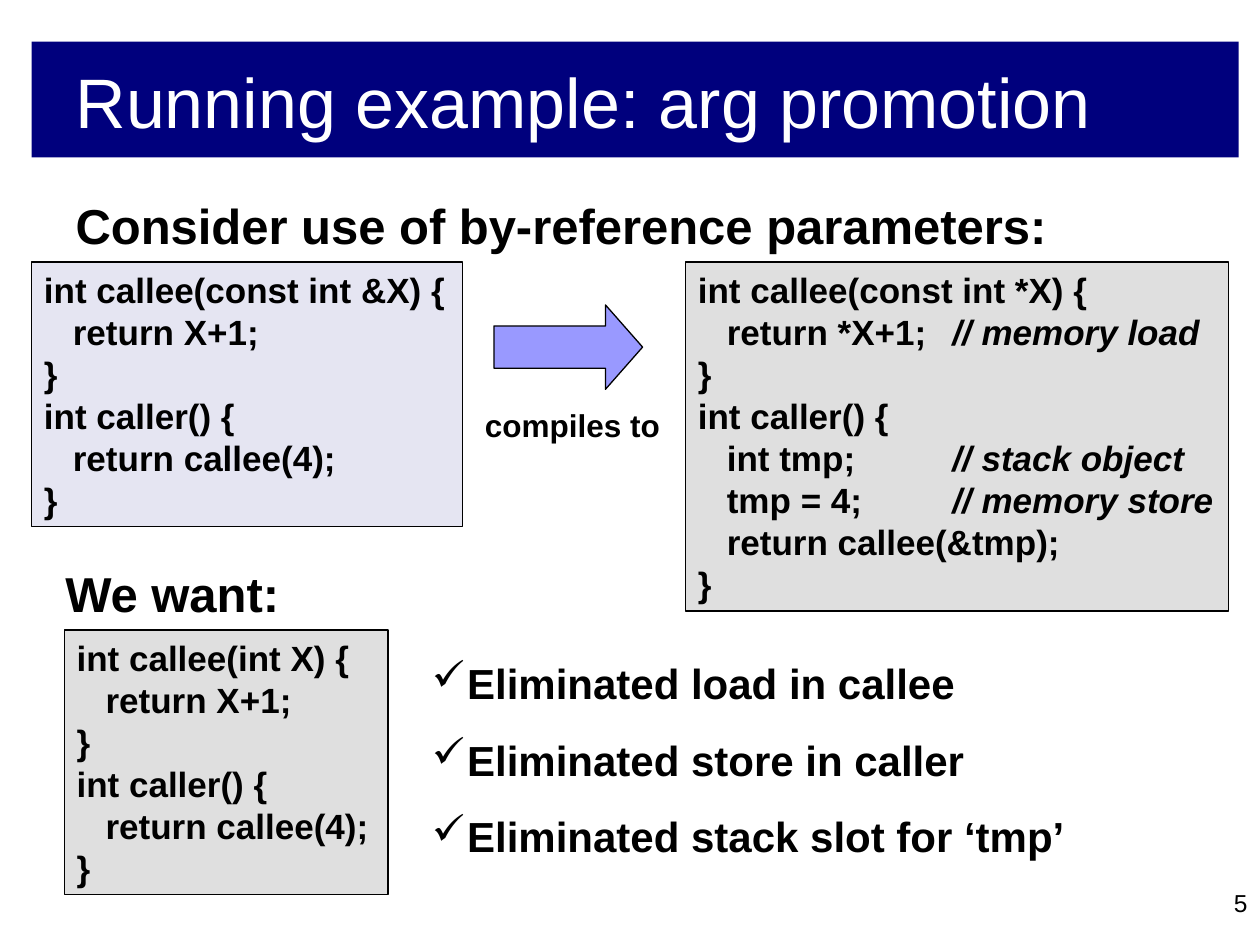
from lxml.etree import SubElement
from pptx import Presentation
from pptx.dml.color import RGBColor
from pptx.enum.shapes import MSO_SHAPE
from pptx.enum.text import MSO_ANCHOR, MSO_AUTO_SIZE, PP_ALIGN
from pptx.oxml.ns import qn
from pptx.util import Inches, Pt

BLACK = "000000"
GREY = "C0C0C0"
STOPS = (0.23, 2.02)

CALLER = ["int caller() {", "\treturn callee(4);", "}"]
SOURCE = ["int callee(const int &X) {", "\treturn X+1;", "}"] + CALLER
WANTED = ["int callee(int X) {", "\treturn X+1;", "}"] + CALLER
OUTPUT = [
    "int callee(const int *X) {",
    ("\treturn *X+1;\t", "// memory load"),
    "}",
    "int caller() {",
    ("\tint tmp;\t", "// stack object"),
    ("\ttmp = 4;\t", "// memory store"),
    "\treturn callee(&tmp);",
    "}",
]
GAINS = [
    "Eliminated load in callee",
    "Eliminated store in caller",
    "Eliminated stack slot for ‘tmp’",
]


def paint(color, text):
    color.rgb = RGBColor.from_string(text)


def place(shape, left, top, width, height):
    shape.left, shape.top = Inches(left), Inches(top)
    shape.width, shape.height = Inches(width), Inches(height)


def add_run(para, text, size, color=BLACK, bold=True, slant=False):
    run = para.add_run()
    run.text = text
    font = run.font
    font.name, font.size = "Arial", Pt(size)
    font.bold, font.italic = bold, slant
    paint(font.color, color)


def add_lines(shape, lines, size, color=BLACK, bold=True, align=PP_ALIGN.LEFT,
              anchor=MSO_ANCHOR.TOP, gap=0):
    frame = shape.text_frame
    frame.word_wrap = True
    frame.auto_size = MSO_AUTO_SIZE.NONE
    frame.vertical_anchor = anchor
    for spot, line in enumerate(lines):
        para = frame.add_paragraph() if spot else frame.paragraphs[0]
        para.alignment = align
        para.space_before = Pt(gap)
        para.line_spacing = Pt(size * 1.2)
        parts = (line,) if isinstance(line, str) else line
        for part in parts:
            add_run(para, part, size, color, bold, part.startswith("//"))
    return frame.paragraphs


def add_text(slide, area, lines, size, **style):
    box = slide.shapes.add_textbox(*map(Inches, area))
    return add_lines(box, lines, size, **style)


def add_form(slide, kind, area, color, alpha=None, edge=True):
    shape = slide.shapes.add_shape(kind, *map(Inches, area))
    shape.shadow.inherit = False
    shape.fill.solid()
    paint(shape.fill.fore_color, color)
    if alpha:
        tint = shape.fill._xPr.find(qn("a:solidFill"))[0]
        SubElement(tint, qn("a:alpha"), val=str(alpha * 1000))
    if edge:
        shape.line.width = Pt(0.75)
        paint(shape.line.color, BLACK)
    else:
        shape.line.fill.background()
    return shape


def add_code(slide, area, color, lines):
    shape = add_form(slide, MSO_SHAPE.RECTANGLE, area, color, alpha=50)
    for para in add_lines(shape, lines, 20):
        tabs = SubElement(para._p.get_or_add_pPr(), qn("a:tabLst"))
        for stop in STOPS:
            SubElement(tabs, qn("a:tab"), pos=str(Inches(stop)), algn="l")


def set_mark(para, mark=None, indent=0):
    props = para._p.get_or_add_pPr()
    props.set("marL", str(Inches(indent)))
    props.set("indent", str(-Inches(indent)))
    if mark:
        SubElement(props, qn("a:buChar"), char=mark)
    else:
        SubElement(props, qn("a:buNone"))


def main():
    deck = Presentation()
    deck.slide_width, deck.slide_height = Inches(10), Inches(7.5)
    slide = deck.slides.add_slide(deck.slide_layouts[1])
    title, body = slide.placeholders

    band = add_form(slide, MSO_SHAPE.RECTANGLE, (0.25, 0.33, 9.58, 0.92),
                    "00007D", edge=False)
    title._element.addprevious(band._element)
    place(title, 0.5, 0.17, 9, 1.25)
    add_lines(title, ["Running example: arg promotion"], 40, color="FFFFFF",
              bold=False, anchor=MSO_ANCHOR.MIDDLE)
    place(body, 0.5, 1.5, 9, 0.67)
    heads = add_lines(body, ["Consider use of by-reference parameters:"], 28, gap=7)
    set_mark(heads[0])

    add_code(slide, (0.25, 2.08, 3.42, 2.1), "CCCCE6", SOURCE)
    arrow = add_form(slide, MSO_SHAPE.RIGHT_ARROW, (3.92, 2.42, 1.18, 0.67), "9999FF")
    arrow.adjustments[1] = 0.44
    add_code(slide, (5.44, 2.08, 4.31, 2.77), GREY, OUTPUT)
    add_text(slide, (3.75, 3.17, 1.69, 0.4), ["compiles to"], 18, gap=11.2)

    for para in add_text(slide, (3.33, 5.17, 5.33, 1.72), GAINS, 24, gap=15):
        set_mark(para, "✓", 0.28)
    add_code(slide, (0.51, 5, 2.57, 2.1), GREY, WANTED)
    add_text(slide, (0.42, 4.42, 2.29, 0.67), ["We want:"], 28, gap=7)
    add_text(slide, (7.92, 7, 2.08, 0.5), ["5"], 14, bold=False, align=PP_ALIGN.RIGHT)
    deck.save("out.pptx")


if __name__ == "__main__":
    main()
